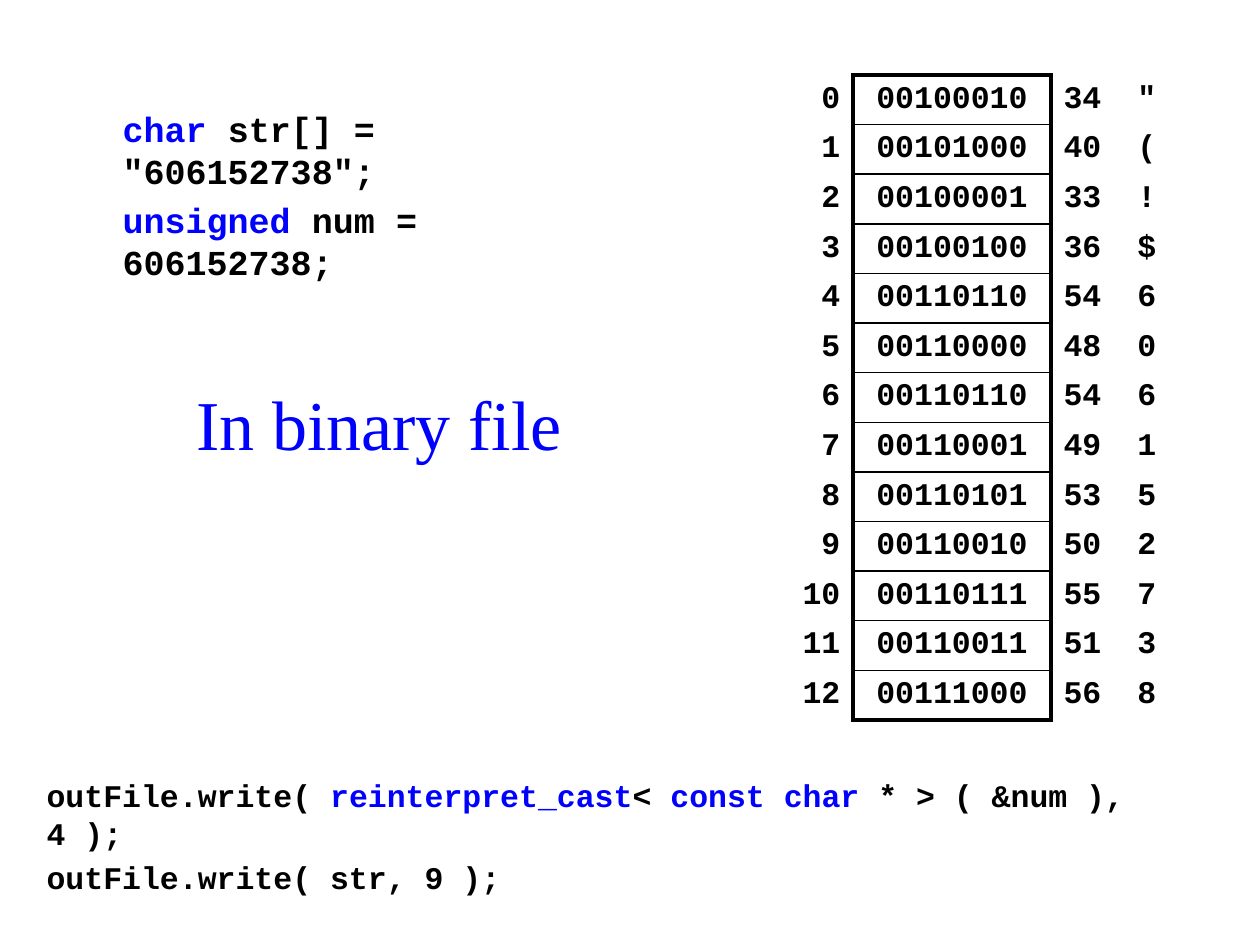
from pptx import Presentation
from pptx.dml.color import RGBColor
from pptx.enum.text import MSO_ANCHOR, MSO_AUTO_SIZE, PP_ALIGN
from pptx.oxml import parse_xml
from pptx.oxml.ns import nsdecls
from pptx.util import Pt

LEFT, CENTER, RIGHT = PP_ALIGN.LEFT, PP_ALIGN.CENTER, PP_ALIGN.RIGHT
MIDDLE, TOP = MSO_ANCHOR.MIDDLE, MSO_ANCHOR.TOP
NO_FIT = MSO_AUTO_SIZE.NONE
PX = 914400 // 126
BLACK, BLUE = "000000", "0000FF"
MONO, SERIF = "Courier New", "Times New Roman"
THICK, THIN = Pt(2.25), Pt(1)


def color(font, value):
    font.color.rgb = RGBColor.from_string(value)


def style(p, name, size, bold, align):
    p.font.name, p.font.size, p.font.bold = name, Pt(size), bold
    p.alignment = align


prs = Presentation()
prs.slide_width, prs.slide_height = 1260 * PX, 945 * PX
s = prs.slides.add_slide(prs.slide_layouts[3])
title, write_code, declarations = s.placeholders[0], s.placeholders[1], s.placeholders[2]

memory = ["00100010", "00101000", "00100001", "00100100", "00110110", "00110000", "00110110",
          "00110001", "00110101", "00110010", "00110111", "00110011", "00111000"]
widths = [74, 198, 74, 49]
aligns = [RIGHT, CENTER, LEFT, LEFT]
last = len(memory) - 1
frame = s.shapes.add_table(len(memory), len(widths), 779 * PX, 75 * PX, sum(widths) * PX, 645 * PX)
table = frame.table
table.first_row = table.horz_banding = False
for column, width in zip(table.columns, widths):
    column.width = width * PX

for i, bits in enumerate(memory):
    table.rows[i].height = 645 * PX // len(memory)
    code = int(bits, 2)
    for j, text in enumerate([str(i), bits, str(code), chr(code)]):
        cell = table.cell(i, j)
        cell.fill.background()
        cell.vertical_anchor = MIDDLE
        cell.margin_top = cell.margin_bottom = 5 * PX
        p = cell.text_frame.paragraphs[0]
        p.text = text
        style(p, MONO, 18, True, aligns[j])
        color(p.font, BLACK)
        edges = {"L": THICK if j in (1, 2) else 0,
                 "R": THICK if j in (0, 1) else 0,
                 "T": (THIN if i else THICK) if j == 1 else 0,
                 "B": (THICK if i == last else THIN) if j == 1 else 0}
        for k, (side, w) in enumerate(edges.items()):
            paint = f'<a:solidFill><a:srgbClr val="{BLACK}"/></a:solidFill>' if w else "<a:noFill/>"
            line = parse_xml(f'<a:ln{side} {nsdecls("a")} w="{w}">{paint}</a:ln{side}>')
            cell._tc.get_or_add_tcPr().insert(k, line)

blocks = [
    (write_code, (34, 770, 1191, 99), 70, MONO, 18, True, TOP, [
        [("outFile.write( ", BLACK), ("reinterpret_cast", BLUE), ("< ", BLACK),
         ("const char", BLUE), (" * > ( &num ), 4 );", BLACK)],
        [("outFile.write( str, 9 );", BLACK)]]),
    (declarations, (110, 101, 545, 99), 13, MONO, 20, True, TOP, [
        [("char", BLUE), (' str[] = "606152738";', BLACK)],
        [("unsigned", BLUE), (" num = 606152738;", BLACK)]]),
    (title, (184, 373, 397, 99), 13, SERIF, 40, False, MIDDLE, [
        [("In binary file", BLUE)]]),
]
for sp, box, inset, name, size, bold, anchor, lines in blocks:
    sp.left, sp.top, sp.width, sp.height = [v * PX for v in box]
    tf = sp.text_frame
    tf.word_wrap, tf.auto_size, tf.vertical_anchor = True, NO_FIT, anchor
    tf.margin_right = inset * PX
    for i, runs in enumerate(lines):
        p = tf.add_paragraph() if i else tf.paragraphs[0]
        style(p, name, size, bold, LEFT)
        p.space_before = Pt(size * 0.2)
        pPr = p._p.get_or_add_pPr()
        pPr.set("marL", "0")
        pPr.set("indent", "0")
        pPr.insert_element_before(parse_xml(f'<a:buNone {nsdecls("a")}/>'), "a:tabLst", "a:defRPr")
        for text, value in runs:
            r = p.add_run()
            r.text = text
            color(r.font, value)

prs.save("out.pptx")
